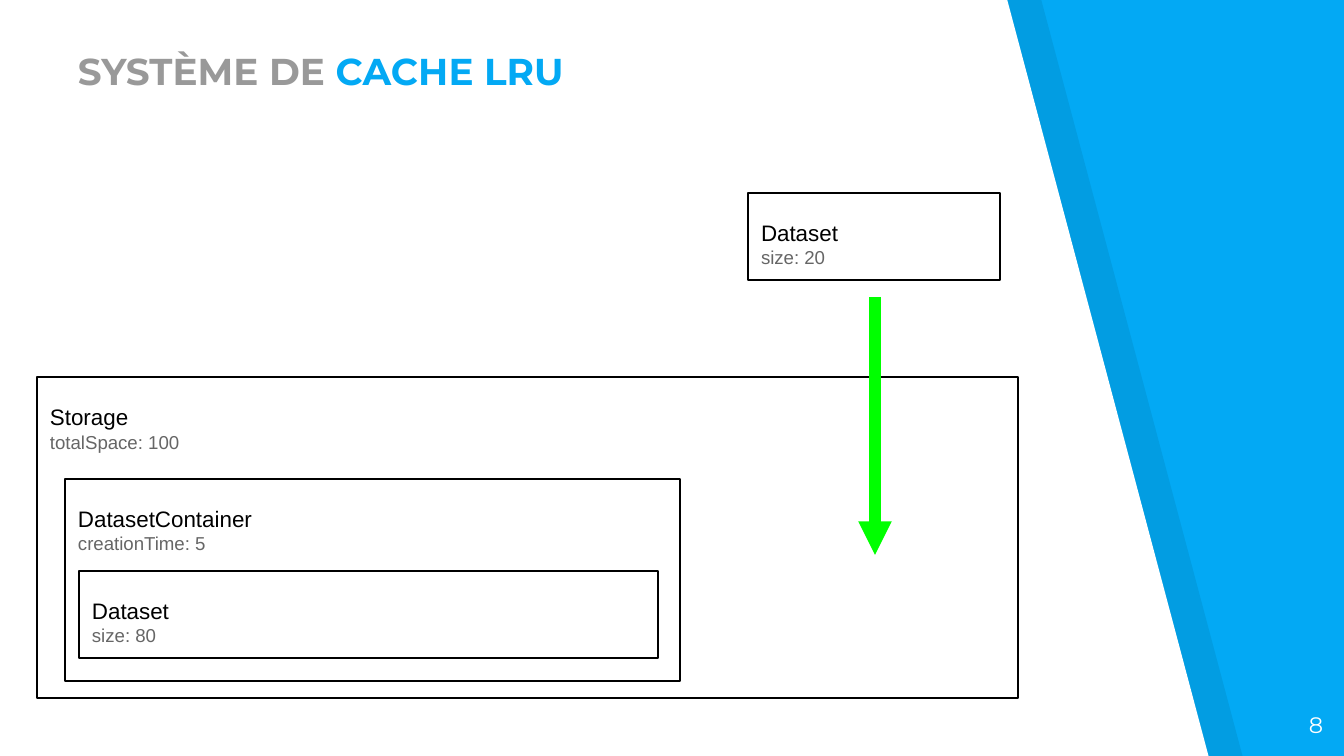
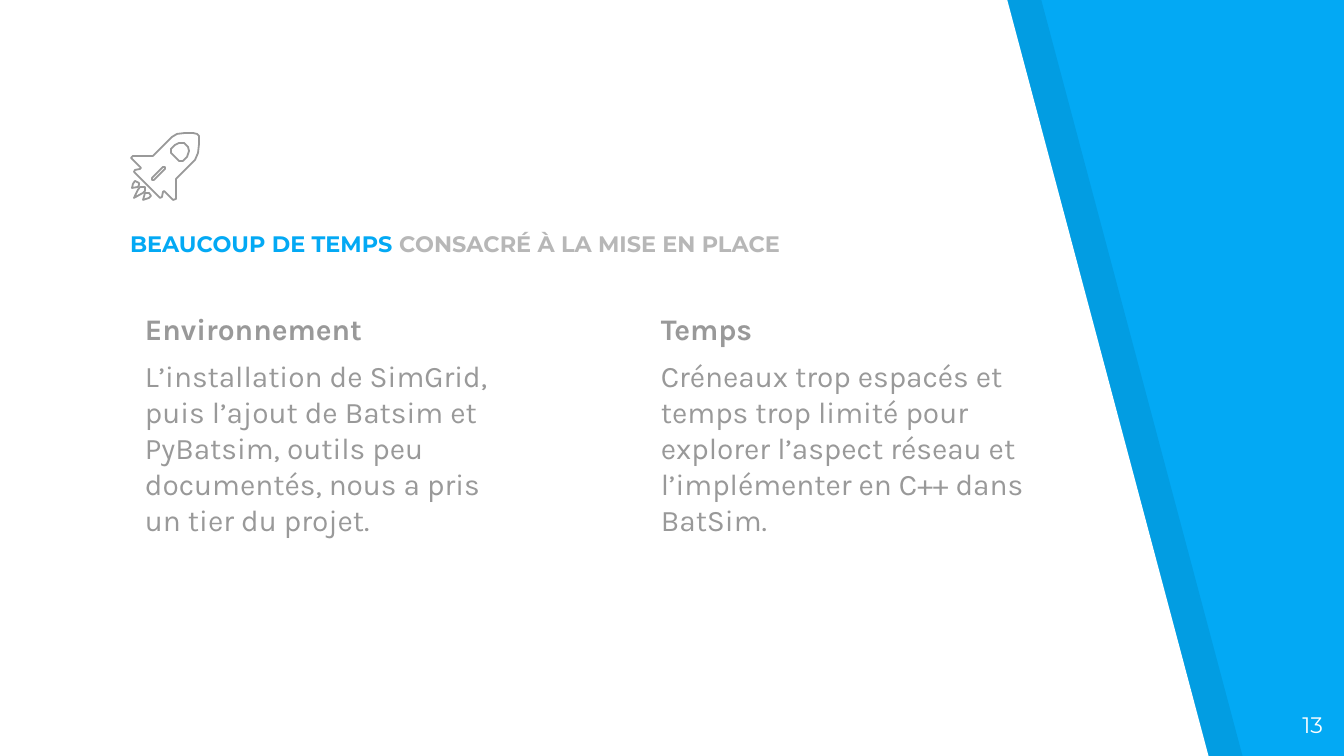
from lxml import etree
from pptx import Presentation
from pptx.dml.color import RGBColor
from pptx.enum.shapes import MSO_CONNECTOR, MSO_SHAPE
from pptx.enum.text import MSO_ANCHOR, PP_ALIGN
from pptx.oxml.ns import qn
from pptx.util import Pt

PX = 9144000 / 1344
WIDTH, HEIGHT = 1344, 756
INSET = 13
RECTANGLE = MSO_SHAPE.RECTANGLE
STRAIGHT = MSO_CONNECTOR.STRAIGHT
TOP, BOTTOM = MSO_ANCHOR.TOP, MSO_ANCHOR.BOTTOM
LEFT, RIGHT = PP_ALIGN.LEFT, PP_ALIGN.RIGHT
HEADING_FONT, BODY_FONT, DIAGRAM_FONT = "Montserrat", "Karla", "Arial"
COLORS = {
    "blue": "03A9F4",
    "white": "FFFFFF",
    "black": "000000",
    "grey": "999999",
    "light grey": "B7B7B7",
    "dark grey": "666666",
    "green": "00FF00",
}
RGB = {name: RGBColor.from_string(value) for name, value in COLORS.items()}


def write(shape, text, *, size, font, color, bold=False, align=LEFT, anchor=TOP,
          line_spacing=None, space_before=0, same_line=False):
    frame = shape.text_frame
    frame.word_wrap = True
    frame.vertical_anchor = anchor
    frame.margin_left = frame.margin_right = round(INSET * PX)
    frame.margin_top = frame.margin_bottom = round(INSET * PX)
    paragraph = frame.paragraphs[-1]
    if paragraph.runs and not same_line:
        paragraph = frame.add_paragraph()
    paragraph.alignment = align
    paragraph.space_before = Pt(space_before)
    if line_spacing:
        paragraph.line_spacing = line_spacing
    run = paragraph.add_run()
    run.text = text
    run.font.size = Pt(size)
    run.font.name = font
    run.font.bold = bold
    run.font.color.rgb = RGB[color]


def draw_outline(slide, contours, fill=None, line=None):
    builder = slide.shapes.build_freeform(*contours[0][0], scale=PX)
    builder.add_line_segments(contours[0][1:], close=True)
    for contour in contours[1:]:
        builder.move_to(*contour[0])
        builder.add_line_segments(contour[1:], close=True)
    outline = builder.convert_to_shape()
    outline.shadow.inherit = False
    if fill:
        outline.fill.solid()
        outline.fill.fore_color.rgb = RGB[fill]
    else:
        outline.fill.background()
    if line:
        outline.line.color.rgb = RGB[line]
        outline.line.width = Pt(0.96)
    else:
        outline.line.fill.background()
    return outline


deck = Presentation()
deck.slide_width = round(WIDTH * PX)
deck.slide_height = round(HEIGHT * PX)

pages = [
    ("8", (65, 46, 895, 60), 20, [("SYSTÈME DE ", "grey"), ("CACHE LRU", "blue")]),
    ("13", (117, 210, 706, 60), 12,
     [("BEAUCOUP DE TEMPS", "blue"), (" CONSACRÉ À LA MISE EN PLACE", "light grey")]),
]
slides = []
for number, title_place, title_size, title_parts in pages:
    slide = deck.slides.add_slide(deck.slide_layouts[6])
    slide.background.fill.solid()
    slide.background.fill.fore_color.rgb = RGB["blue"]
    for offset, color in ((34, "black"), (0, "white")):
        band = draw_outline(slide, [[(offset, -1), (offset, 758),
                                     (offset + 1209, 758), (offset + 1007, -1)]], fill=color)
        if color == "black":
            tint = band.fill._xPr.find(qn("a:solidFill"))[0]
            etree.SubElement(tint, qn("a:alpha")).set("val", "7000")

    page_number = slide.shapes.add_textbox(*[round(v * PX) for v in (1255, 698, 81, 58)])
    write(page_number, number, size=12, font=HEADING_FONT, color="white", align=RIGHT)

    title = slide.shapes.add_textbox(*[round(v * PX) for v in title_place])
    for text, color in title_parts:
        write(title, text, size=title_size, font=HEADING_FONT, color=color, bold=True,
              anchor=BOTTOM, same_line=True)
    slides.append(slide)

cache_slide, setup_slide = slides

cache_boxes = [
    ("Dataset", "size: 20", (748, 193, 252, 87)),
    ("Storage", "totalSpace: 100", (37, 377, 981, 321)),
    ("DatasetContainer", "creationTime: 5", (65, 479, 615, 202)),
    ("Dataset", "size: 80", (79, 571, 579, 87)),
]
for kind, detail, place in cache_boxes:
    box = cache_slide.shapes.add_shape(RECTANGLE, *[round(v * PX) for v in place])
    box.shadow.inherit = False
    box.fill.background()
    box.line.color.rgb = RGB["black"]
    box.line.width = Pt(0.75)
    write(box, kind, size=12, font=DIAGRAM_FONT, color="black", line_spacing=1.5)
    write(box, detail, size=10, font=DIAGRAM_FONT, color="dark grey")

insertion = cache_slide.shapes.add_connector(
    STRAIGHT, *[round(v * PX) for v in (875, 297, 875, 555)])
insertion.line.color.rgb = RGB["green"]
insertion.line.width = Pt(6)
etree.SubElement(insertion.line._get_or_add_ln(), qn("a:tailEnd")).set("type", "triangle")
etree.SubElement(insertion._element.spPr, qn("a:effectLst"))

difficulties = [
    (132, "Environnement",
     "L’installation de SimGrid, puis l’ajout de Batsim et PyBatsim, outils peu "
     "documentés, nous a pris un tier du projet."),
    (648, "Temps",
     "Créneaux trop espacés et temps trop limité pour explorer l’aspect réseau et "
     "l’implémenter en C++ dans BatSim."),
]
for left, heading, explanation in difficulties:
    column = setup_slide.shapes.add_textbox(*[round(v * PX) for v in (left, 298, 392, 358)])
    for text, bold in ((heading, True), (explanation, False)):
        write(column, text, size=16, font=BODY_FONT, color="grey", bold=bold, space_before=6)

rocket_body = [
    (176, 199), (176, 179), (195, 160), (198, 153), (199, 144), (199, 136), (197, 134),
    (193, 133), (185, 133), (177, 134), (172, 137), (153, 156), (133, 156), (131, 158),
    (141, 168), (140, 169), (135, 170), (134, 172), (160, 198), (162, 197), (163, 192),
    (164, 191), (173, 200),
]
rocket_slot = [(152, 178), (152, 180), (154, 180), (165, 169), (165, 167), (163, 167)]
rocket_window = [
    (183, 161), (179, 161), (171, 153), (171, 149), (175, 145), (179, 143),
    (184, 143), (188, 147), (189, 151), (187, 157),
]
flames = [
    [(145, 187), (140, 187), (138, 190), (134, 198), (143, 193), (145, 191)],
    [(149, 193), (145, 193), (143, 200), (149, 198), (151, 196)],
    [(139, 183), (135, 181), (133, 184), (132, 188), (138, 187), (139, 185)],
]
for contours in [[rocket_body, rocket_slot, rocket_window]] + [[flame] for flame in flames]:
    draw_outline(setup_slide, contours, line="grey")

deck.save("out.pptx")
